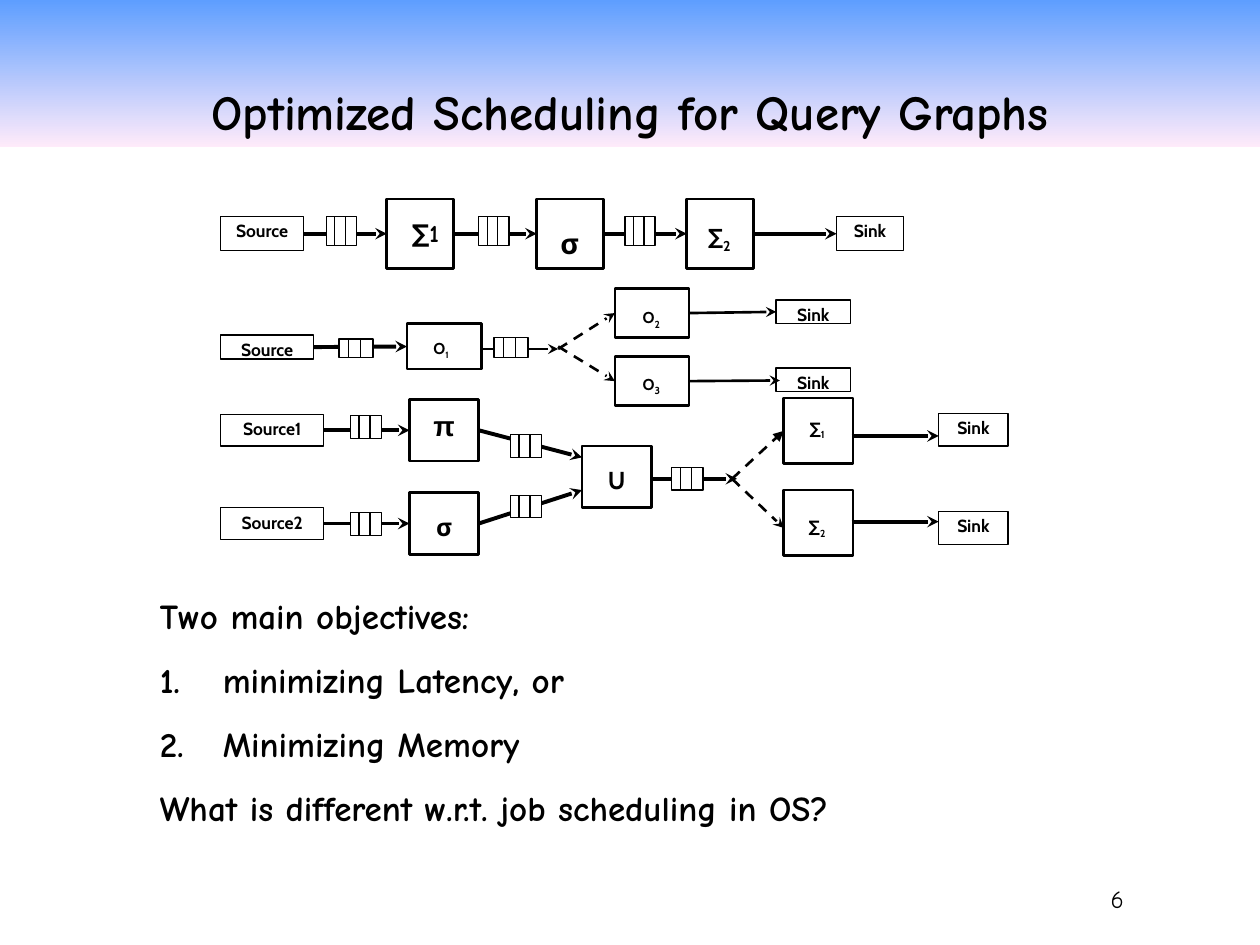
from dataclasses import dataclass
from typing import Optional, Union

from lxml import etree
from pptx import Presentation
from pptx import util as u
from pptx.dml.color import RGBColor
from pptx.enum import dml, shapes, text
from pptx.oxml.ns import qn


@dataclass(frozen=True)
class Theme:
    ink: RGBColor = RGBColor(0, 0, 0)
    paper: RGBColor = RGBColor(255, 255, 255)
    sky: RGBColor = RGBColor(0x5E, 0x9E, 0xFF)
    blush: RGBColor = RGBColor(0xFF, 0xEB, 0xFA)
    hand: str = "Comic Neue"
    sans: str = "Cabin"
    symbol: str = "Arial"
    title: float = 28
    body: float = 20
    number: float = 14
    end: float = 10
    thin: float = 0.75
    medium: float = 1.5
    thick: float = 2.25


T = Theme()
COLS, ROWS = 100, 75
prs = Presentation()
prs.slide_width, prs.slide_height = u.Inches(10), u.Inches(7.5)
s = prs.slides.add_slide(prs.slide_layouts[5])


@dataclass(frozen=True)
class Area:
    col: float
    row: float
    cols: float
    rows: float

    def emu(self) -> list[int]:
        return [*point(self.col, self.row), *point(self.cols, self.rows)]


@dataclass(frozen=True)
class Label:
    area: Area
    words: str
    sub: str = ""
    size: float = 9
    sub_size: float = 10
    font: str = T.sans
    raised: bool = False


@dataclass(frozen=True)
class Link:
    start: Union[str, tuple[float, float]]
    end: Union[str, tuple[float, float]]
    weight: float = T.thick
    dashed: bool = False
    head: Optional[str] = "stealth"


def point(col: float, row: float) -> tuple[int, int]:
    return round(prs.slide_width * col / COLS), round(prs.slide_height * row / ROWS)


def style(r, size: float, font: str, bold: bool = True) -> None:
    r.font.size, r.font.name, r.font.bold = u.Pt(size), font, bold
    r.font.color.rgb = T.ink


def draw_box(area: Area, weight: Optional[float] = None):
    sp = s.shapes.add_shape(shapes.MSO_SHAPE.RECTANGLE, *area.emu())
    sp.shadow.inherit = False
    sp.fill.solid()
    sp.fill.fore_color.rgb = T.paper
    if weight is None:
        sp.line.fill.background()
    else:
        sp.line.color.rgb, sp.line.width = T.ink, u.Pt(weight)
    return sp


def write_label(sp, label: Label) -> None:
    tf = sp.text_frame
    tf.margin_left = tf.margin_right = tf.margin_top = tf.margin_bottom = u.Inches(0.03)
    tf.vertical_anchor, tf.word_wrap = text.MSO_ANCHOR.TOP, False
    p = tf.paragraphs[0]
    p.alignment = text.PP_ALIGN.CENTER
    r = p.add_run()
    r.text = label.words
    style(r, label.size, label.font)
    if label.raised:
        r.font._element.set("baseline", "30000")
    if label.sub:
        r = p.add_run()
        r.text = label.sub
        style(r, label.sub_size, label.font)
        r.font._element.set("baseline", "-25000")


def draw_link(link: Link) -> None:
    ends = [(0, 0) if isinstance(e, str) else point(*e) for e in (link.start, link.end)]
    line = s.shapes.add_connector(shapes.MSO_CONNECTOR.STRAIGHT, *ends[0], *ends[1])
    if isinstance(link.start, str):
        line.begin_connect(nodes[link.start], 3)
    if isinstance(link.end, str):
        line.end_connect(nodes[link.end], 1)
    line.line.color.rgb, line.line.width = T.ink, u.Pt(link.weight)
    if link.dashed:
        line.line.dash_style = dml.MSO_LINE.DASH
    if link.head:
        etree.SubElement(line.line._get_or_add_ln(), qn("a:tailEnd"), type=link.head)
    etree.SubElement(line._element.spPr, qn("a:effectLst"))


def draw_queue(area: Area) -> None:
    draw_box(area, T.thin)
    for share in (0.28, 0.63):
        col = area.col + share * area.cols
        draw_link(Link((col, area.row), (col, area.row + area.rows), T.thin, head=None))


def add_text(area: Area, lines: list[str], size: float, bold: bool = True):
    tf = s.shapes.add_textbox(*area.emu()).text_frame
    tf.word_wrap = True
    tf.text = "\n".join(lines)
    for p in tf.paragraphs:
        style(p.runs[0], size, T.hand, bold)
    return tf


title = s.shapes.title
title.left, title.top, title.width, title.height = Area(0, 0, COLS, 11.7).emu()
title.fill.gradient()
title.fill.gradient_angle = 270
for stop, color in zip(title.fill.gradient_stops, (T.sky, T.blush)):
    stop.color.rgb = color
tf = title.text_frame
tf.text = "Optimized Scheduling for Query Graphs"
tf.auto_size, tf.vertical_anchor = text.MSO_AUTO_SIZE.NONE, text.MSO_ANCHOR.BOTTOM
p = tf.paragraphs[0]
p.alignment, p.line_spacing = text.PP_ALIGN.CENTER, 0.9
style(p.runs[0], T.title, T.hand)

FIRST, STEP = 30.7, 11.9
operators = {f"chain{i}": Area(FIRST + i * STEP, 15.8, 5.3, 5.5) for i in range(3)}
operators |= {
    "O1": Area(32.3, 25.7, 5.9, 3.6), "O2": Area(48.8, 22.9, 5.9, 3.9),
    "O3": Area(48.8, 28.3, 5.9, 3.9), "project": Area(32.5, 31.7, 5.5, 4.9),
    "select": Area(32.5, 39.1, 5.5, 4.9), "union": Area(46.2, 35.4, 5.5, 4.9),
    "sum1": Area(62.2, 31.6, 5.5, 5.2), "sum2": Area(62.2, 38.9, 5.5, 5.2),
}
ends = {
    "source": Label(Area(17.5, 17.2, 6.6, 2.7), "Source", size=T.end),
    "sink": Label(Area(66.4, 17.2, 5.3, 2.7), "Sink", size=T.end),
    "fork": Label(Area(17.5, 26.6, 7.4, 1.9), "Source", size=T.end),
    "sinkO2": Label(Area(61.6, 23.8, 5.9, 1.9), "Sink", size=T.end),
    "sinkO3": Label(Area(61.6, 29.2, 5.9, 1.9), "Sink", size=T.end),
    "source1": Label(Area(17.5, 32.9, 8.2, 2.5), "Source1", size=T.end),
    "source2": Label(Area(17.5, 40.3, 8.2, 2.5), "Source2", size=T.end),
    "sink1": Label(Area(74.5, 32.8, 5.5, 2.6), "Sink", size=T.end),
    "sink2": Label(Area(74.5, 40.6, 5.5, 2.6), "Sink", size=T.end),
}
labels = [
    Label(Area(43.9, 17.2, 2.6, 2.7), "σ", size=28, font=T.hand, raised=True),
    Label(Area(55.8, 17.2, 2.6, 2.7), "∑", "2", 12, 14),
    Label(Area(32.8, 26.6, 4.4, 1.8), "O", "1", sub_size=9),
    Label(Area(50.2, 24, 3, 1.9), "O", "2"),
    Label(Area(50.2, 29.3, 3, 1.9), "O", "3"),
    Label(Area(33.9, 32.1, 2.7, 2.5), "π", size=16, font=T.symbol),
    Label(Area(33.9, 40.3, 2.7, 2.5), "σ", size=14),
    Label(Area(47.6, 36.6, 2.7, 2.5), "U", size=14),
    Label(Area(63.5, 32.8, 2.7, 2.6), "∑", "1"),
    Label(Area(63.5, 40.6, 2.7, 2.6), "∑", "2"),
]
chain = ["source", "chain0", "chain1", "chain2", "sink"]
links = [Link(a, b) for a, b in zip(chain, chain[1:])] + [
    Link("fork", "O1"), Link((38.2, 27.7), (44.3, 27.7), T.medium),
    Link((44.3, 27.7), "O2", T.medium, True), Link((44.3, 27.5), "O3", T.medium, True),
    Link("O2", "sinkO2", T.medium), Link("O3", (61.9, 30.2), T.medium),
    Link("source1", "project"), Link("source2", "select"),
    Link("project", (46.2, 36.3)), Link("select", (46.2, 38.9)),
    Link((51.7, 38), (58.5, 38)),
    Link((58.1, 38), "sum1", T.medium, True, "triangle"),
    Link((58.1, 38), (62.2, 41.9), T.medium, True),
    Link((67.6, 34.6), (74.5, 34.6)), Link((67.6, 41.4), (74.5, 41.4)),
]
queues = [Area(col, 17.2, 2.4, 2.3) for col in (25.9, 38, 49.6)]
queues += [Area(26.9, 26.9, 2.7, 1.5), Area(39.2, 26.8, 2.7, 1.6)]
queues += [Area(col, row, 2.5, 1.8) for col, row in
           ((27.8, 33), (27.8, 40.7), (40.5, 34.5), (40.5, 39.3), (53.3, 37.1))]

nodes = {name: draw_box(area, T.medium) for name, area in operators.items()}
for name, label in ends.items():
    nodes[name] = draw_box(label.area, T.thin)
    write_label(nodes[name], label)
for label in labels:
    write_label(draw_box(label.area), label)
for link in links:
    draw_link(link)
for area in queues:
    draw_queue(area)
add_text(Area(31.7, 16.8, 6.2, 3.4), ["∑1"], 14)

tf = add_text(Area(11.7, 46.7, 74.2, 19.6), [
    "Two main objectives:", "minimizing Latency, or", "Minimizing Memory",
    "What is different w.r.t. job scheduling in OS?"], T.body)
for i, p in enumerate(tf.paragraphs):
    pPr = p._p.get_or_add_pPr()
    pPr.set("marL", str(u.Inches(0.5)))
    pPr.set("indent", str(-u.Inches(0.5)))
    if i in (1, 2):
        etree.SubElement(pPr, qn("a:buAutoNum"), type="arabicPeriod")
    if i:
        p.space_before = u.Pt(12.5)

tf = add_text(Area(77.5, 67.5, 11.7, 5), ["6"], T.number, bold=False)
tf.margin_right = tf.margin_bottom = 0
tf.vertical_anchor = text.MSO_ANCHOR.BOTTOM
tf.paragraphs[0].alignment = text.PP_ALIGN.RIGHT
prs.save("out.pptx")
